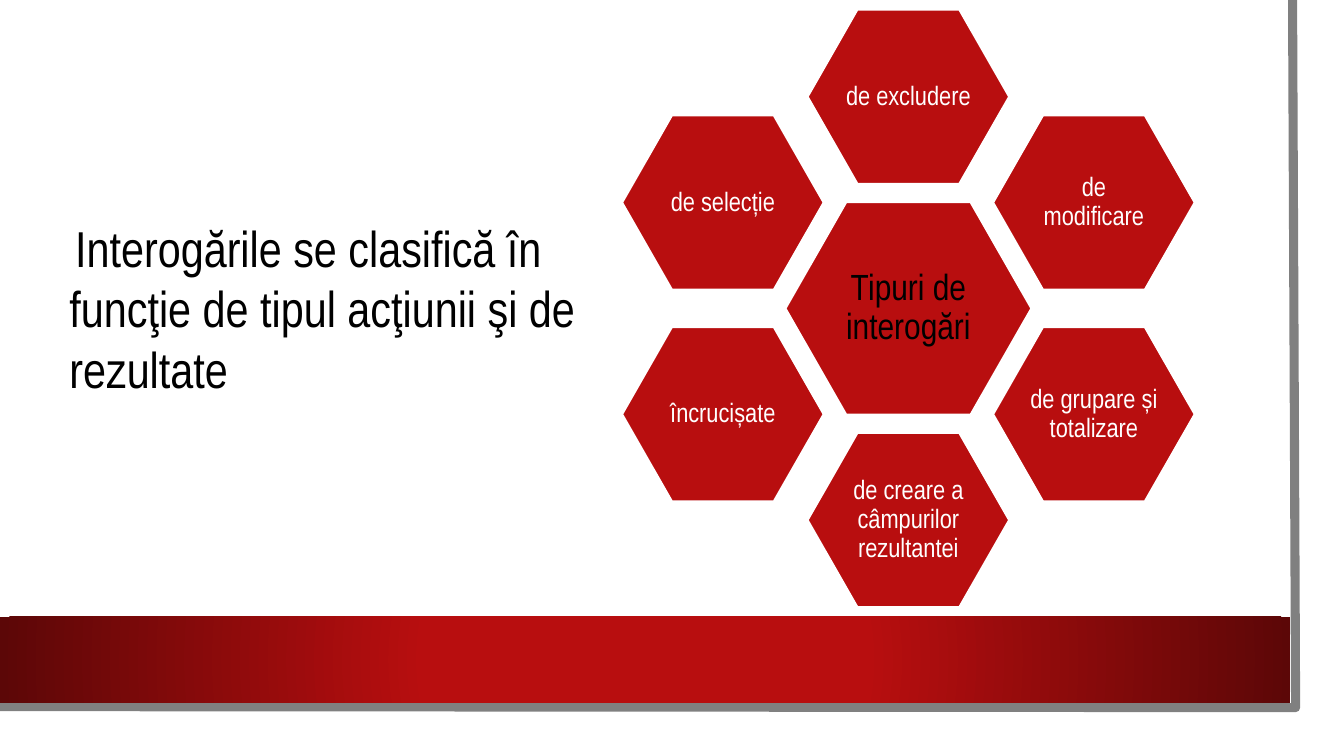
"""Build a slide that shows the types of queries as a ring of hexagons."""
from pptx import Presentation
from pptx.dml.color import RGBColor
from pptx.enum.shapes import MSO_SHAPE
from pptx.enum.text import MSO_ANCHOR, PP_ALIGN
from pptx.oxml import parse_xml
from pptx.oxml.ns import nsdecls
from pptx.util import Inches, Pt

RED = RGBColor(0xB8, 0x0E, 0x0F)
DARK_RED = RGBColor(0x5C, 0x07, 0x07)
GRAY = RGBColor(0x80, 0x80, 0x80)
WHITE = RGBColor(0xFF, 0xFF, 0xFF)
BLACK = RGBColor(0x00, 0x00, 0x00)
FONT = "Arial Narrow"

TITLE = [(" ", 18), ("Interogările se clasifică în funcţie de tipul acţiunii şi de rezultate", 36)]
CENTER = "Tipuri de interogări"
RING = [
    ("de excludere", 0, -2),
    ("de modificare", 1, -1),
    ("de grupare și totalizare", 1, 1),
    ("de creare a câmpurilor rezultantei", 0, 2),
    ("încrucișate", -1, 1),
    ("de selecție", -1, -1),
]
CENTER_X, CENTER_Y = 9.01, 3.06
STEP_X, STEP_Y = 1.84, 1.05
EDGE = [(12.82, 0), (12.85, 7.02), (-0.03, 7.01)]
CENTER_STYLE = {"size": Pt(26), "color": BLACK, "inset": Inches(0.04)}
RING_STYLE = {"size": Pt(19), "color": WHITE, "inset": Inches(0.03)}


def add_run(p, text, size, color):
    r = p.add_run()
    r.text = text
    for name, value in {"name": FONT, "size": size}.items():
        setattr(r.font, name, value)
    r.font.color.rgb = color


def add_page_edge(s):
    points = [(Inches(x), Inches(y)) for x, y in EDGE]
    builder = s.shapes.build_freeform(*points[0])
    builder.add_line_segments(points[1:], close=False)
    edge = builder.convert_to_shape()
    edge.shadow.inherit = False
    edge.fill.background()
    edge.line.color.rgb = GRAY
    edge.line.width = Pt(6.5)


def add_band(s):
    band = s.shapes.add_shape(MSO_SHAPE.RECTANGLE, 0, Inches(6.12), Inches(12.8), Inches(0.85))
    band.shadow.inherit = False
    band.line.fill.background()
    band.fill.gradient()
    stops = zip(band.fill.gradient_stops, [(0.34, RED), (1, DARK_RED)])
    for stop, (position, color) in stops:
        stop.position = position
        stop.color.rgb = color
    linear = band.element.spPr.find(".//{*}lin")
    linear.getparent().replace(linear, parse_xml(
        f'<a:path {nsdecls("a")} path="circle">'
        '<a:fillToRect l="50000" t="50000" r="50000" b="50000"/></a:path>'))


def add_hexagon(s, text, x, y, width, height, style):
    hexagon = s.shapes.add_shape(
        MSO_SHAPE.HEXAGON, Inches(x - width / 2), Inches(y - height / 2),
        Inches(width), Inches(height))
    hexagon.adjustments[0] = 0.286
    hexagon.shadow.inherit = False
    hexagon.fill.solid()
    hexagon.fill.fore_color.rgb = RED
    hexagon.line.color.rgb = WHITE
    hexagon.line.width = Pt(1.5)
    tf = hexagon.text_frame
    tf.word_wrap = True
    tf.vertical_anchor = MSO_ANCHOR.MIDDLE
    for side in ("left", "top", "right", "bottom"):
        setattr(tf, f"margin_{side}", style["inset"])
    p = tf.paragraphs[0]
    p.alignment = PP_ALIGN.CENTER
    p.line_spacing = 0.9
    add_run(p, text, style["size"], style["color"])


def add_title(s):
    box = s.shapes.add_textbox(Inches(0.59), Inches(2.1), Inches(5.34), Inches(1.92))
    tf = box.text_frame
    tf.word_wrap = True
    for text, size in TITLE:
        add_run(tf.paragraphs[0], text, Pt(size), BLACK)


def main():
    prs = Presentation()
    prs.slide_width, prs.slide_height = Inches(13.33), Inches(7.5)
    s = prs.slides.add_slide(prs.slide_layouts[6])
    add_page_edge(s)
    add_band(s)
    add_hexagon(s, CENTER, CENTER_X, CENTER_Y, 2.44, 2.11, CENTER_STYLE)
    for text, column, row in RING:
        x, y = CENTER_X + column * STEP_X, CENTER_Y + row * STEP_Y
        add_hexagon(s, text, x, y, 2, 1.73, RING_STYLE)
    add_title(s)
    prs.save("out.pptx")


if __name__ == "__main__":
    main()
